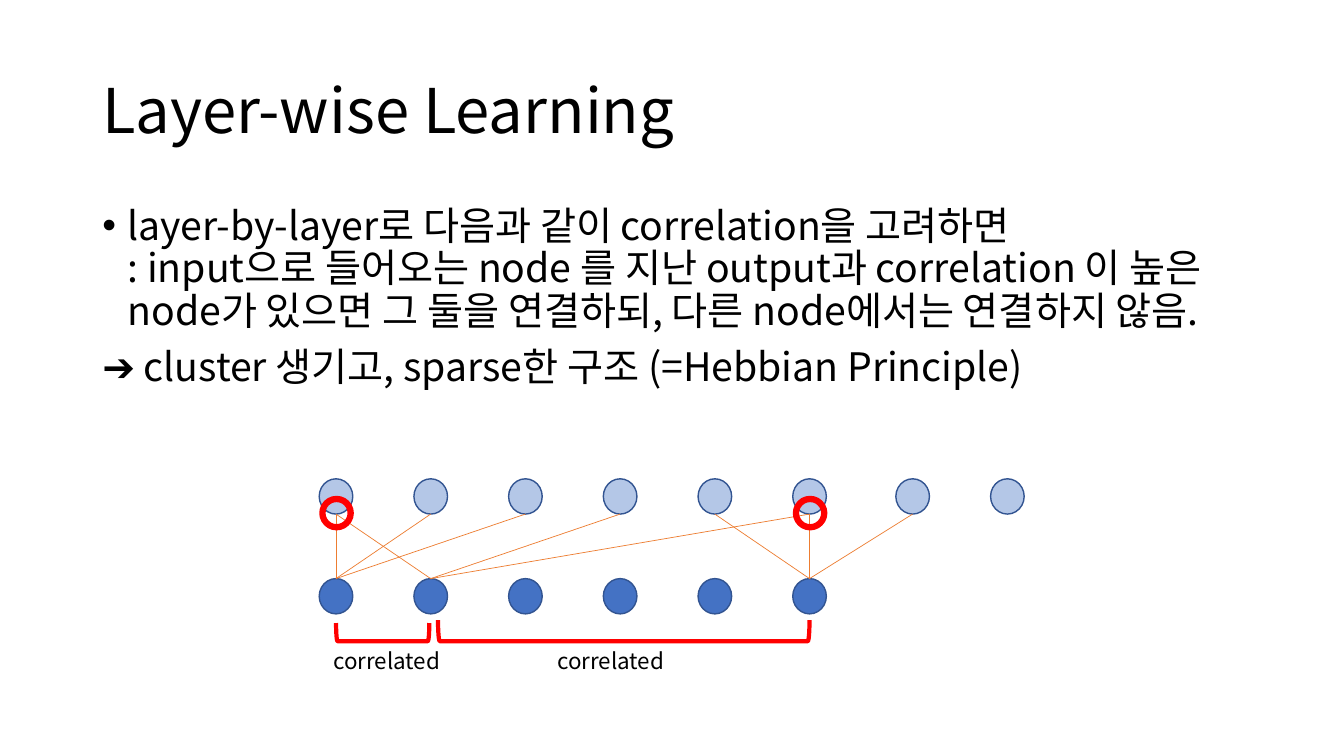
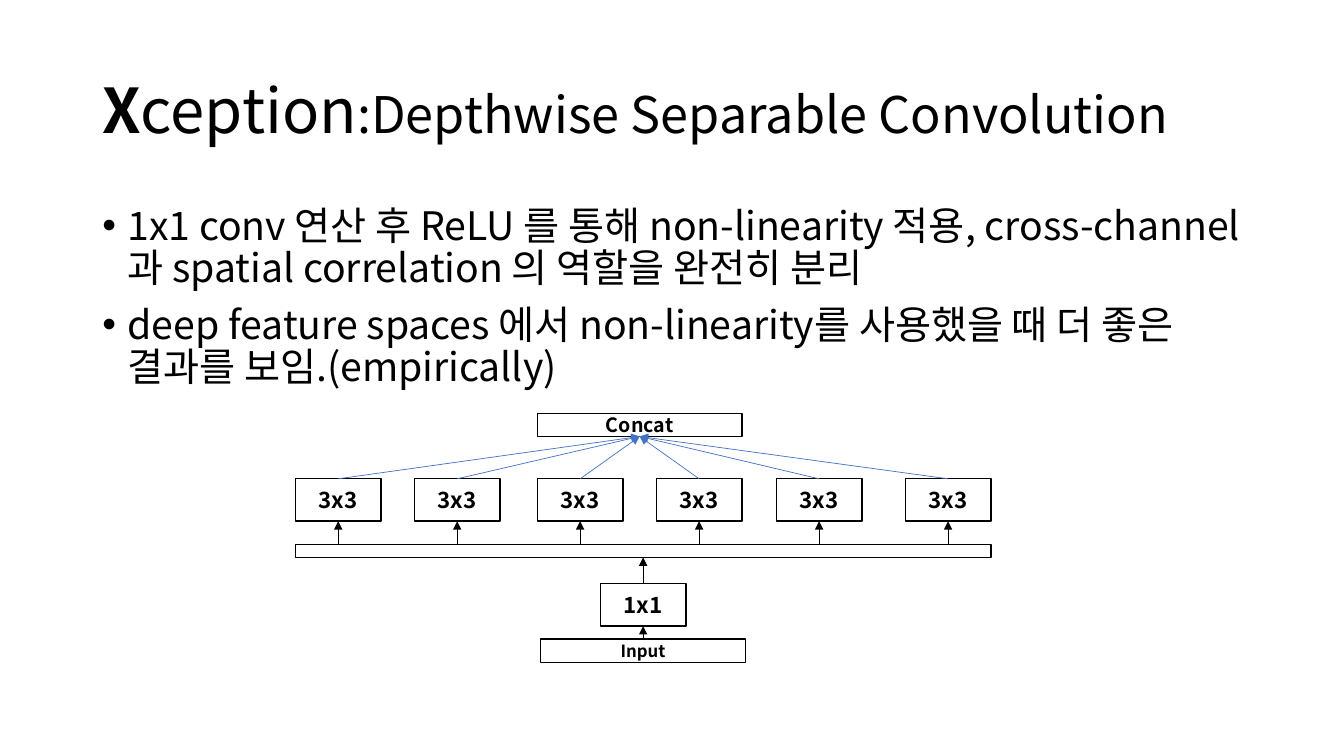
import dataclasses
import pptx
import pptx.dml.color
import pptx.enum.shapes
import pptx.enum.text
import pptx.oxml
import pptx.oxml.ns
import pptx.util

Pt = pptx.util.Pt
Shape = pptx.enum.shapes.MSO_SHAPE
Anchor = pptx.enum.text.MSO_ANCHOR
Align = pptx.enum.text.PP_ALIGN


@dataclasses.dataclass(frozen=True)
class Theme:
    font: str = "Noto Sans CJK KR"
    ink: str = "000000"
    paper: str = "FFFFFF"
    input_node: str = "4472C4"
    output_node: str = "B4C7E7"
    node_outline: str = "325491"
    link: str = "ED7D31"
    highlight: str = "FF0000"
    merge: str = "4472C4"
    title_size: float = 44
    subtitle_size: float = 36
    body_size: float = 28
    label_size: float = 16
    concat_size: float = 14
    input_size: float = 12
    line_spacing: float = 0.9
    space_before: float = 10
    bullet_indent: float = 18
    outline: float = 1
    thin: float = 0.5


@dataclasses.dataclass(frozen=True)
class Box:
    left: float
    top: float
    width: float
    height: float

    @property
    def center(self):
        return self.left + self.width / 2

    @property
    def bottom(self):
        return self.top + self.height

    def points(self):
        return Pt(self.left), Pt(self.top), Pt(self.width), Pt(self.height)


THEME = Theme()
TITLE_BOX = Box(66, 28.8, 828, 104.4)
BODY_BOX = Box(66, 144, 828, 342.7)
NETWORK_BOX = Box(228, 342, 504, 144)
MODULE_BOX = Box(211, 295.2, 496.8, 178)


def color(value):
    return pptx.dml.color.RGBColor.from_string(value)


def append_xml(parent, tag, **attributes):
    element = pptx.oxml.parse_xml(f"<a:{tag} {pptx.oxml.ns.nsdecls('a')}/>")
    for name, value in attributes.items():
        element.set(name, value)
    parent.append(element)


def write_text(paragraph, text, size, bold=False, align=None):
    if align is not None:
        paragraph.alignment = align
    for index, line in enumerate(text.split("\n")):
        if index:
            paragraph.add_line_break()
        run = paragraph.add_run()
        run.text = line
        run.font.size = Pt(size)
        run.font.bold = bold
        run.font.color.rgb = color(THEME.ink)
        run.font.name = THEME.font
        append_xml(run.font._element, "ea", typeface=THEME.font)


def add_text_frame(slide, box, anchor=Anchor.TOP):
    frame = slide.shapes.add_textbox(*box.points()).text_frame
    frame.word_wrap = True
    frame.vertical_anchor = anchor
    return frame


def add_title(slide, box, runs):
    paragraph = add_text_frame(slide, box, Anchor.MIDDLE).paragraphs[0]
    paragraph.line_spacing = THEME.line_spacing
    for text, size, bold in runs:
        write_text(paragraph, text, size, bold=bold)


def add_body(slide, box, items):
    frame = add_text_frame(slide, box)
    for index, (text, bulleted) in enumerate(items):
        paragraph = frame.add_paragraph() if index else frame.paragraphs[0]
        paragraph.line_spacing = THEME.line_spacing
        paragraph.space_before = Pt(THEME.space_before)
        if bulleted:
            properties = paragraph._p.get_or_add_pPr()
            properties.set("marL", str(Pt(THEME.bullet_indent)))
            properties.set("indent", str(-Pt(THEME.bullet_indent)))
            append_xml(properties, "buFont", typeface="Arial")
            append_xml(properties, "buChar", char="•")
        write_text(paragraph, text, THEME.body_size)


def add_figure(slide, kind, box, line, width=THEME.outline, fill=None):
    shape = slide.shapes.add_shape(kind, *box.points())
    shape.shadow.inherit = False
    if fill:
        shape.fill.solid()
        shape.fill.fore_color.rgb = color(fill)
    else:
        shape.fill.background()
    shape.line.color.rgb = color(line)
    shape.line.width = Pt(width)
    return shape


def add_line(slide, start, end, line, arrow=False):
    connector = slide.shapes.add_connector(
        pptx.enum.shapes.MSO_CONNECTOR.STRAIGHT, *map(Pt, start + end))
    connector.line.color.rgb = color(line)
    connector.line.width = Pt(THEME.thin)
    if arrow:
        append_xml(connector.line._get_or_add_ln(), "tailEnd", type="triangle")
    append_xml(connector._element.spPr, "effectLst")


def add_bracket(slide, box):
    upright = Box(box.center - box.height / 2,
                  box.top + (box.height - box.width) / 2,
                  box.height, box.width)
    shape = add_figure(slide, Shape.RIGHT_BRACKET, upright, THEME.highlight, width=3)
    shape.rotation = 90


def add_block(slide, box, text="", size=THEME.label_size):
    shape = add_figure(slide, Shape.RECTANGLE, box, THEME.ink, fill=THEME.paper)
    if text:
        frame = shape.text_frame
        frame.word_wrap = True
        frame.vertical_anchor = Anchor.MIDDLE
        frame.margin_top = frame.margin_bottom = 0
        write_text(frame.paragraphs[0], text, size, bold=True, align=Align.CENTER)


def add_network(slide, box):
    node_width, node_height, step, extra_gap = 24, 25.2, 67.65, 6

    def node_row(count, top):
        return [Box(box.left + step * index + (extra_gap if index > 5 else 0),
                    top, node_width, node_height) for index in range(count)]

    inputs = node_row(6, box.top + 71.3)
    outputs = node_row(8, box.top)
    for nodes, fill in ((inputs, THEME.input_node), (outputs, THEME.output_node)):
        for node in nodes:
            add_figure(slide, Shape.OVAL, node, THEME.node_outline, fill=fill)

    links = {0: (0, 1, 2), 1: (0, 3, 5), 5: (4, 5, 6)}
    for input_index, output_indexes in links.items():
        source = inputs[input_index]
        for output_index in output_indexes:
            target = outputs[output_index]
            add_line(slide, (source.center, source.top),
                     (target.center, target.bottom), THEME.link)

    bracket_bottom = box.top + 116
    for start, end, height, label_left in (
            (inputs[0].center, inputs[1].center - 1, 13, 3),
            (inputs[1].center + 5.2, inputs[5].center, 15, 163)):
        add_bracket(slide, Box(start, bracket_bottom - height, end - start, height))
        label = Box(box.left + label_left, box.top + 117, 129, 26.6)
        write_text(add_text_frame(slide, label).paragraphs[0],
                   "correlated", THEME.label_size)

    ring = 20.2
    for node in (outputs[0], outputs[5]):
        add_figure(slide, Shape.OVAL,
                   Box(node.center - ring / 2 + 0.4, node.bottom - ring / 2 - 0.7, ring, ring),
                   THEME.highlight, width=4.5)


def add_module(slide, box):
    block_width, block_height = 61.2, 30.3
    strip_width, strip_height = 146.2, 16.6
    concat = Box(box.left + 172.8, box.top, strip_width, strip_height)
    channels = Box(box.left, box.top + 93.6, box.width, 9.4)
    pointwise = Box(box.center - block_width / 2, box.top + 121.7,
                    block_width, block_height)
    source = Box(box.center - strip_width / 2, box.top + 161.3,
                 strip_width, strip_height)

    add_block(slide, channels)
    add_block(slide, concat, "Concat", size=THEME.concat_size)
    add_block(slide, pointwise, "1x1")
    add_block(slide, source, "Input", size=THEME.input_size)
    for lower, upper in ((source, pointwise), (pointwise, channels)):
        add_line(slide, (box.center, lower.top), (box.center, upper.bottom),
                 THEME.ink, arrow=True)

    for offset in (0, 85, 172.8, 257.8, 343.5, 435.6):
        block = Box(box.left + offset, box.top + 46.8, block_width, block_height)
        add_block(slide, block, "3x3")
        add_line(slide, (block.center, channels.top), (block.center, block.bottom),
                 THEME.ink, arrow=True)
        add_line(slide, (block.center, block.top), (concat.center, concat.bottom),
                 THEME.merge, arrow=True)


def add_slide(presentation, title_runs, body_items, add_diagram, diagram_box):
    slide = presentation.slides.add_slide(presentation.slide_layouts[6])
    add_title(slide, TITLE_BOX, title_runs)
    add_body(slide, BODY_BOX, body_items)
    add_diagram(slide, diagram_box)


def main():
    presentation = pptx.Presentation()
    presentation.slide_width = Pt(960)
    presentation.slide_height = Pt(540)
    add_slide(
        presentation,
        [("Layer-wise Learning", THEME.title_size, False)],
        [("layer-by-layer로 다음과 같이 correlation을 고려하면\n"
          ": input으로 들어오는 node 를 지난 output과 correlation 이 높은 node가 "
          "있으면 그 둘을 연결하되, 다른 node에서는 연결하지 않음.", True),
         ("➔ cluster 생기고, sparse한 구조 (=Hebbian Principle)", False)],
        add_network, NETWORK_BOX)
    add_slide(
        presentation,
        [("X", THEME.title_size, True),
         ("ception", THEME.title_size, False),
         (":Depthwise Separable Convolution", THEME.subtitle_size, False)],
        [("1x1 conv 연산 후 ReLU 를 통해 non-linearity 적용, cross-channel 과 "
          "spatial correlation 의 역할을 완전히 분리", True),
         ("deep feature spaces 에서 non-linearity를 사용했을 때 더 좋은 결과를 "
          "보임.(empirically)", True)],
        add_module, MODULE_BOX)
    presentation.save("out.pptx")


if __name__ == "__main__":
    main()
